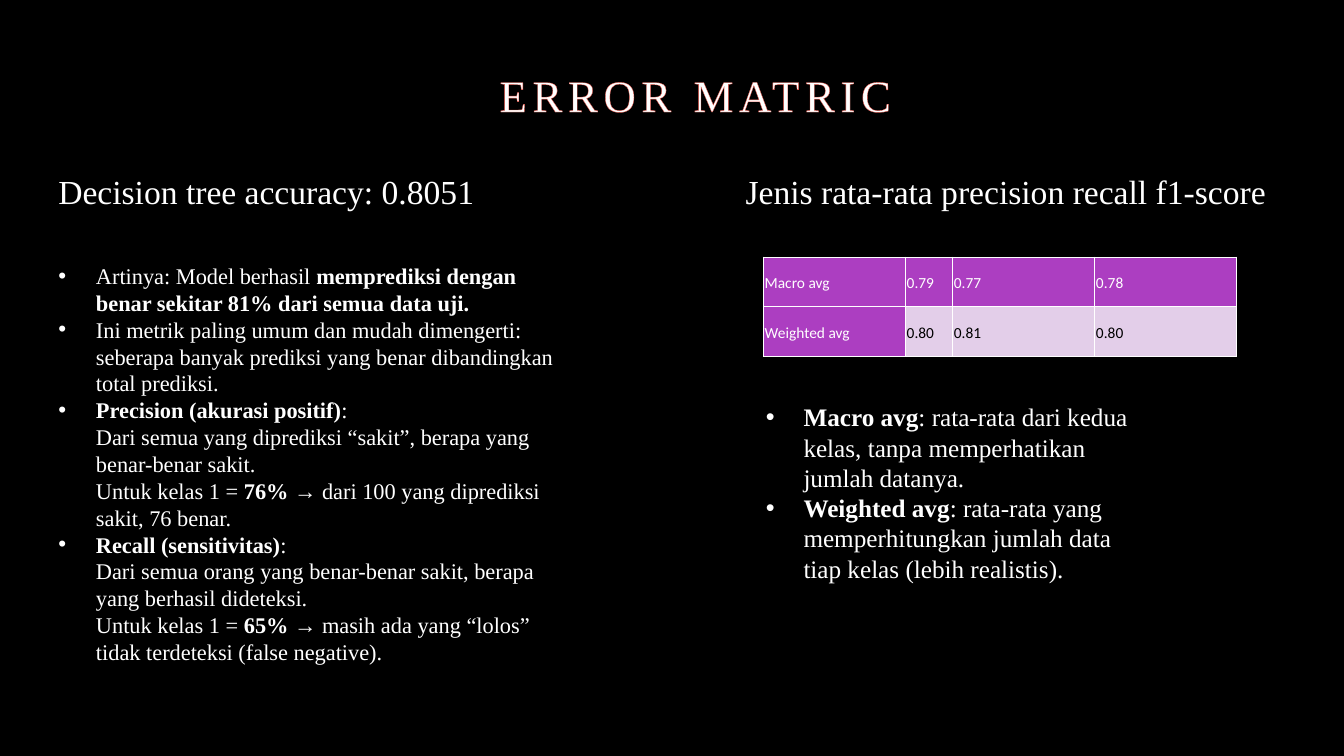
from lxml import etree
from pptx import Presentation
from pptx.dml.color import RGBColor
from pptx.enum.text import MSO_ANCHOR
from pptx.oxml.ns import qn
from pptx.util import Cm, Pt

MIDDLE = MSO_ANCHOR.MIDDLE

BLACK = RGBColor(0x00, 0x00, 0x00)
WHITE = RGBColor(0xFF, 0xFF, 0xFF)
RED = RGBColor(0xE2, 0x52, 0x47)
PURPLE = RGBColor(0xAC, 0x3E, 0xC1)
LILAC = RGBColor(0xE3, 0xCE, 0xE9)

SERIF = "Times New Roman"
SANS = "Calibri"

ACCURACY_POINTS = [
    "Artinya: Model berhasil **memprediksi dengan benar sekitar 81% dari semua data uji.**",
    "Ini metrik paling umum dan mudah dimengerti: seberapa banyak prediksi yang benar "
    "dibandingkan total prediksi.",
    "**Precision (akurasi positif)**:\nDari semua yang diprediksi “sakit”, berapa yang "
    "benar-benar sakit.\nUntuk kelas 1 = **76%** → dari 100 yang diprediksi sakit, 76 benar.",
    "**Recall (sensitivitas)**:\nDari semua orang yang benar-benar sakit, berapa yang "
    "berhasil dideteksi.\nUntuk kelas 1 = **65%** → masih ada yang “lolos” tidak "
    "terdeteksi (false negative).",
]
AVERAGE_POINTS = [
    "**Macro avg**: rata-rata dari kedua kelas, tanpa memperhatikan jumlah datanya.",
    "**Weighted avg**: rata-rata yang memperhitungkan jumlah data tiap kelas "
    "(lebih realistis).",
]
SCORES = [
    ["Macro avg", "0.79", "0.77", "0.78"],
    ["Weighted avg", "0.80", "0.81", "0.80"],
]
COLUMN_WIDTHS = [3.58, 1.19, 3.58, 3.58]
ROW_HEIGHT = 1.25


def write(para, text, size, font=SERIF, color=WHITE):
    """Fill a paragraph; ** switches bold, a newline breaks the line."""
    for index, part in enumerate(text.split("**")):
        for number, line in enumerate(part.split("\n")):
            if number:
                para.add_line_break()
            if line:
                span = para.add_run()
                span.text = line
                span.font.size = Pt(size)
                span.font.name = font
                span.font.bold = index % 2 == 1
                span.font.color.rgb = color


def add_bullet(para):
    properties = para._p.get_or_add_pPr()
    properties.set("marL", str(Cm(0.95)))
    properties.set("indent", str(-Cm(0.95)))
    font = etree.SubElement(properties, qn("a:buFont"))
    font.set("typeface", "Arial")
    etree.SubElement(properties, qn("a:buChar")).set("char", "•")


def add_text(page, paragraphs, left, top, width, height, size, bullets=False, wrap=False):
    box = page.shapes.add_textbox(Cm(left), Cm(top), Cm(width), Cm(height))
    frame = box.text_frame
    frame.word_wrap = wrap
    for index, text in enumerate(paragraphs):
        para = frame.add_paragraph() if index else frame.paragraphs[0]
        if bullets:
            add_bullet(para)
        write(para, text, size)
    return box


def add_solid_line(parent, tag, position, width, color):
    line = etree.Element(qn(tag), w=str(Pt(width)))
    fill = etree.SubElement(line, qn("a:solidFill"))
    etree.SubElement(fill, qn("a:srgbClr")).set("val", str(color))
    parent.insert(position, line)


def add_title(page, text):
    box = add_text(page, [text], 12.34, 1.57, 10.62, 1.63, size=32)
    properties = box.text_frame.paragraphs[0].runs[0].font._element
    properties.set("spc", "400")
    add_solid_line(properties, "a:ln", 0, 1.5, RED)


def fill_cell(cell, text, fill, color):
    cell.fill.solid()
    cell.fill.fore_color.rgb = fill
    cell.vertical_anchor = MIDDLE
    cell.margin_left = cell.margin_right = Cm(0.03)
    cell.margin_top = cell.margin_bottom = Cm(0.03)
    para = cell.text_frame.paragraphs[0]
    para.line_spacing = 1.15
    write(para, text, 11, SANS, color)
    for position, tag in enumerate(("a:lnL", "a:lnR", "a:lnT", "a:lnB")):
        add_solid_line(cell._tc.get_or_add_tcPr(), tag, position, 1, WHITE)


def add_score_table(page, left, top):
    frame = page.shapes.add_table(
        len(SCORES), len(COLUMN_WIDTHS), Cm(left), Cm(top),
        Cm(sum(COLUMN_WIDTHS)), Cm(ROW_HEIGHT * len(SCORES)))
    table = frame.table
    table.first_row = table.horz_banding = False
    for column, width in zip(table.columns, COLUMN_WIDTHS):
        column.width = Cm(width)
    for row, scores in enumerate(SCORES):
        table.rows[row].height = Cm(ROW_HEIGHT)
        for column, text in enumerate(scores):
            header = row == 0 or column == 0
            fill, color = (PURPLE, WHITE) if header else (LILAC, BLACK)
            fill_cell(table.cell(row, column), text, fill, color)


def main():
    deck = Presentation()
    deck.slide_width, deck.slide_height = Cm(33.87), Cm(19.05)
    page = deck.slides.add_slide(deck.slide_layouts[6])
    page.background.fill.solid()
    page.background.fill.fore_color.rgb = BLACK

    add_title(page, "ERROR MATRIC")

    # Left side: accuracy and what it means
    add_text(page, ["Decision tree accuracy: 0.8051"], 1.22, 4.17, 11.07, 2.31, size=24)
    add_text(page, ACCURACY_POINTS, 1.22, 6.48, 13.06, 11.2, size=16,
             bullets=True, wrap=True)

    # Right side: average scores and their explanation
    add_text(page, ["Jenis rata-rata precision recall f1-score"],
             18.54, 4.17, 13.79, 2.31, size=24)
    add_score_table(page, 19.24, 6.48)
    add_text(page, AVERAGE_POINTS, 19.05, 10.0, 10.03, 6.4, size=18,
             bullets=True, wrap=True)

    deck.save("out.pptx")


if __name__ == "__main__":
    main()
